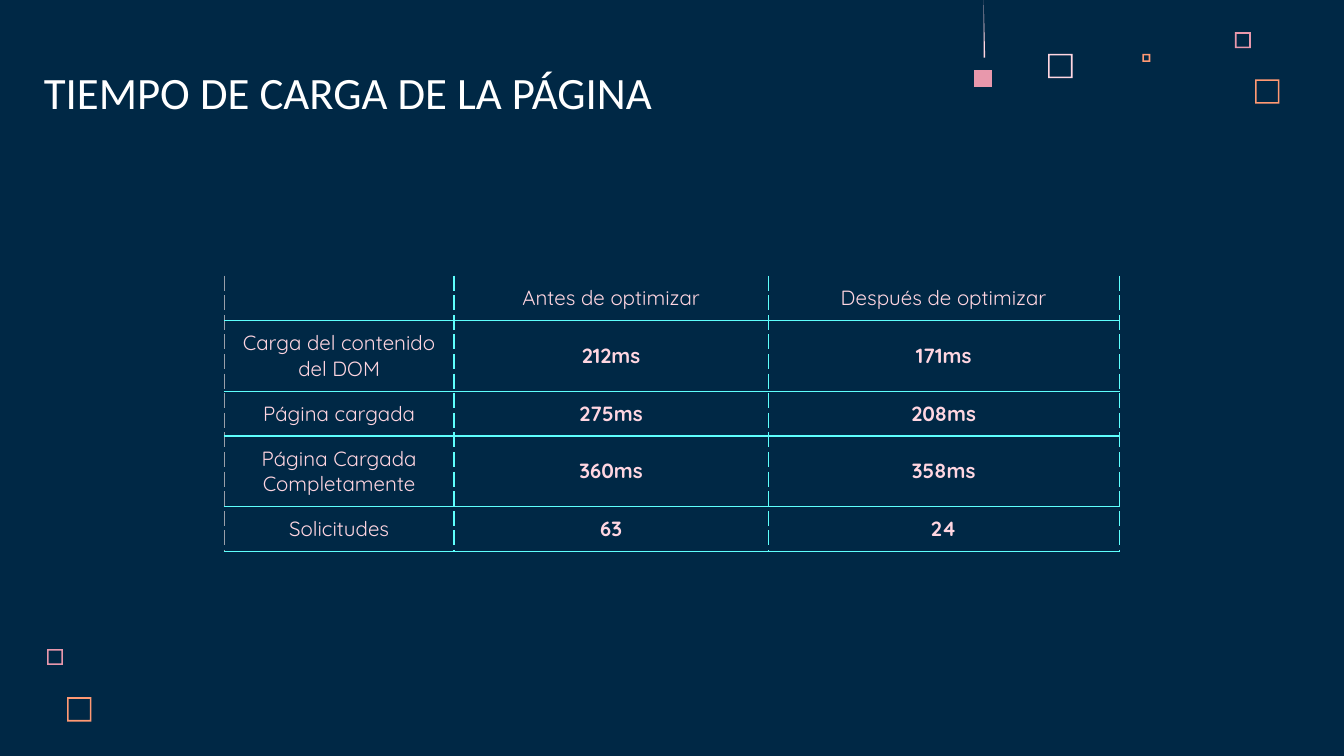
import pptx
import pptx.dml.color
import pptx.enum.text
import pptx.oxml.ns
import pptx.util
from lxml import etree

Cm, Pt = pptx.util.Cm, pptx.util.Pt
CENTER = pptx.enum.text.PP_ALIGN.CENTER
MIDDLE = pptx.enum.text.MSO_ANCHOR.MIDDLE
BOTTOM = pptx.enum.text.MSO_ANCHOR.BOTTOM

# Content
title = "TIEMPO DE CARGA DE LA PÁGINA"
load_times = [
    ("", "Antes de optimizar", "Después de optimizar"),
    ("Carga del contenido del DOM", "212ms", "171ms"),
    ("Página cargada", "275ms", "208ms"),
    ("Página Cargada Completamente", "360ms", "358ms"),
    ("Solicitudes", "63", "24"),
]

# Colours and measures, in centimetres
NAVY, WHITE, CYAN, GREY = "002845", "FFFFFF", "5EFFFD", "999FA9"
PALE, PINK, ORANGE = "FFD6E1", "E898AC", "FF9973"
column_widths = (4.34, 5.94, 6.63)
row_height = 0.66
frame_thickness = 0.03
hollow_squares = [  # left, top, side, colour
    (19.81, 1.02, 0.46, PALE),
    (23.34, 0.61, 0.3, PINK),
    (21.59, 1.02, 0.15, ORANGE),
    (23.72, 1.5, 0.46, ORANGE),
    (0.89, 12.27, 0.3, PINK),
    (1.27, 13.18, 0.46, ORANGE),
]
title_format = {"size": Pt(24), "name": "Calibri", "bold": False}
label_format = {"size": Pt(11), "name": "Quicksand", "bold": False}
value_format = {**label_format, "bold": True}


def rgb(colour):
    return pptx.dml.color.RGBColor.from_string(colour)


def write(paragraph, text, style, colour):
    run = paragraph.add_run()
    run.text = text
    for attribute, value in style.items():
        setattr(run.font, attribute, value)
    run.font.color.rgb = rgb(colour)


def draw_outline(contours, colour):
    """Fill one freeform made of closed contours."""
    points = [[(Cm(x), Cm(y)) for x, y in contour] for contour in contours]
    builder = slide.shapes.build_freeform(*points[0][0])
    builder.add_line_segments(points[0][1:], close=True)
    for contour in points[1:]:
        builder.move_to(*contour[0])
        builder.add_line_segments(contour[1:], close=True)
    shape = builder.convert_to_shape()
    shape.shadow.inherit = False
    shape.fill.solid()
    shape.fill.fore_color.rgb = rgb(colour)
    shape.line.fill.background()


def square(left, top, side):
    right, bottom = left + side, top + side
    return [(left, top), (left, bottom), (right, bottom), (right, top)]


def add_border(cell, side, colour, dash="solid"):
    qn = pptx.oxml.ns.qn
    properties = cell._tc.get_or_add_tcPr()
    line = etree.SubElement(properties, qn(f"a:ln{side}"), w=str(Pt(0.75)))
    if colour is None:
        etree.SubElement(line, qn("a:noFill"))
        return
    fill = etree.SubElement(line, qn("a:solidFill"))
    etree.SubElement(fill, qn("a:srgbClr"), val=colour)
    etree.SubElement(line, qn("a:prstDash"), val=dash)


deck = pptx.Presentation()
deck.slide_width, deck.slide_height = Cm(25.4), Cm(14.29)
slide = deck.slides.add_slide(deck.slide_layouts[6])
slide.background.fill.solid()
slide.background.fill.fore_color.rgb = rgb(NAVY)

# Decorative squares and hanging thread
for left, top, side, colour in hollow_squares:
    inner = square(left + frame_thickness, top + frame_thickness,
                   side - 2 * frame_thickness)
    draw_outline([square(left, top, side), inner[::-1]], colour)
draw_outline([square(18.41, 1.32, 0.33)], PINK)
draw_outline([[(18.59, 0), (18.59, 1.09), (18.62, 1.09)]], PALE)

# Table of load times
table = slide.shapes.add_table(
    len(load_times), len(column_widths), Cm(4.24), Cm(5.21),
    Cm(sum(column_widths)), Cm(row_height * len(load_times))).table
table.first_row = table.horz_banding = False
for column, width in zip(table.columns, column_widths):
    column.width = Cm(width)
for row_index, texts in enumerate(load_times):
    table.rows[row_index].height = Cm(row_height)
    for column_index, text in enumerate(texts):
        cell = table.cell(row_index, column_index)
        cell.vertical_anchor = MIDDLE
        cell.margin_left = cell.margin_right = Cm(0.25)
        cell.margin_top = cell.margin_bottom = Cm(0.18)
        add_border(cell, "L", CYAN if column_index else GREY, "dash")
        add_border(cell, "R", CYAN, "dash")
        add_border(cell, "T", CYAN if row_index else None)
        add_border(cell, "B", CYAN)
        cell.fill.background()
        paragraph = cell.text_frame.paragraphs[0]
        paragraph.alignment = CENTER
        if text:
            is_value = row_index and column_index
            write(paragraph, text, value_format if is_value else label_format, PALE)
        else:
            etree.SubElement(paragraph._p, pptx.oxml.ns.qn("a:endParaRPr"), sz="1100")

# Title
heading = slide.shapes.add_textbox(Cm(0.58), Cm(0.89), Cm(14.15), Cm(1.6)).text_frame
heading.word_wrap = True
heading.vertical_anchor = BOTTOM
for side in ("left", "right", "top", "bottom"):
    setattr(heading, f"margin_{side}", Cm(0.25))
write(heading.paragraphs[0], title, title_format, WHITE)

deck.save("out.pptx")
